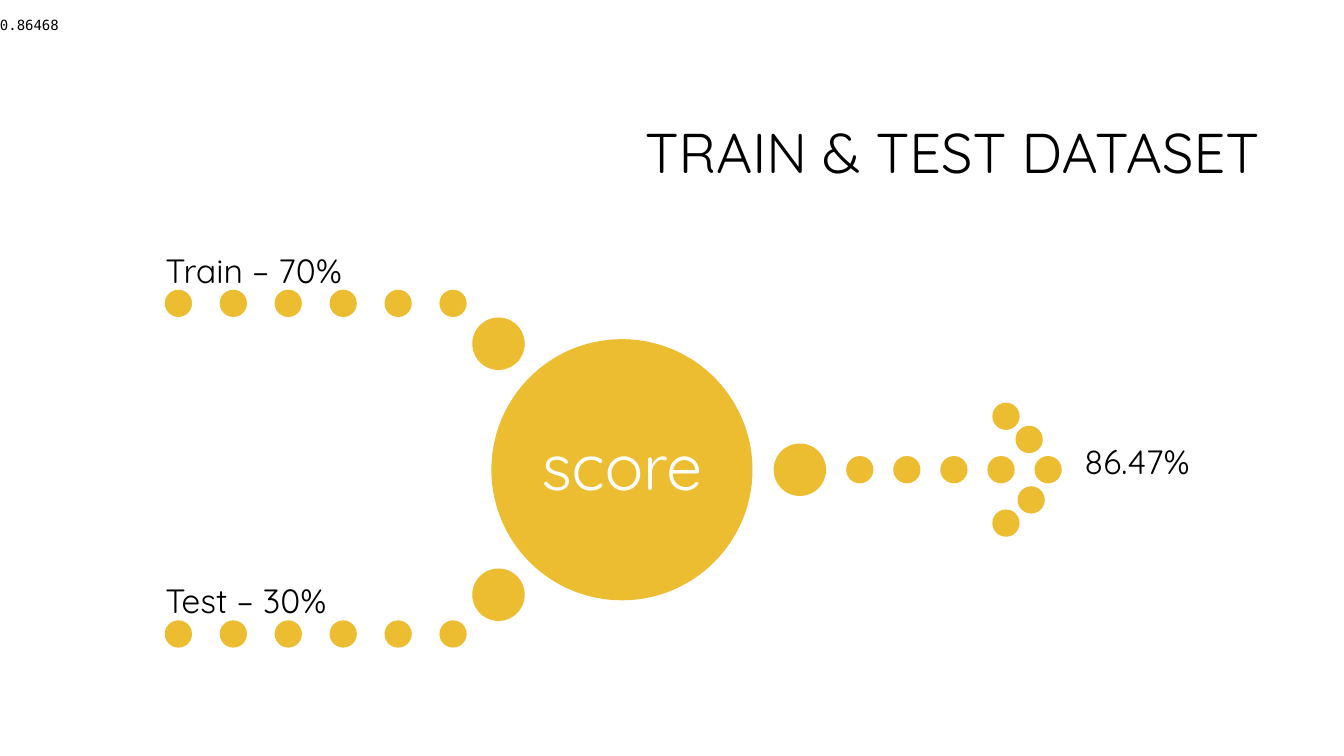
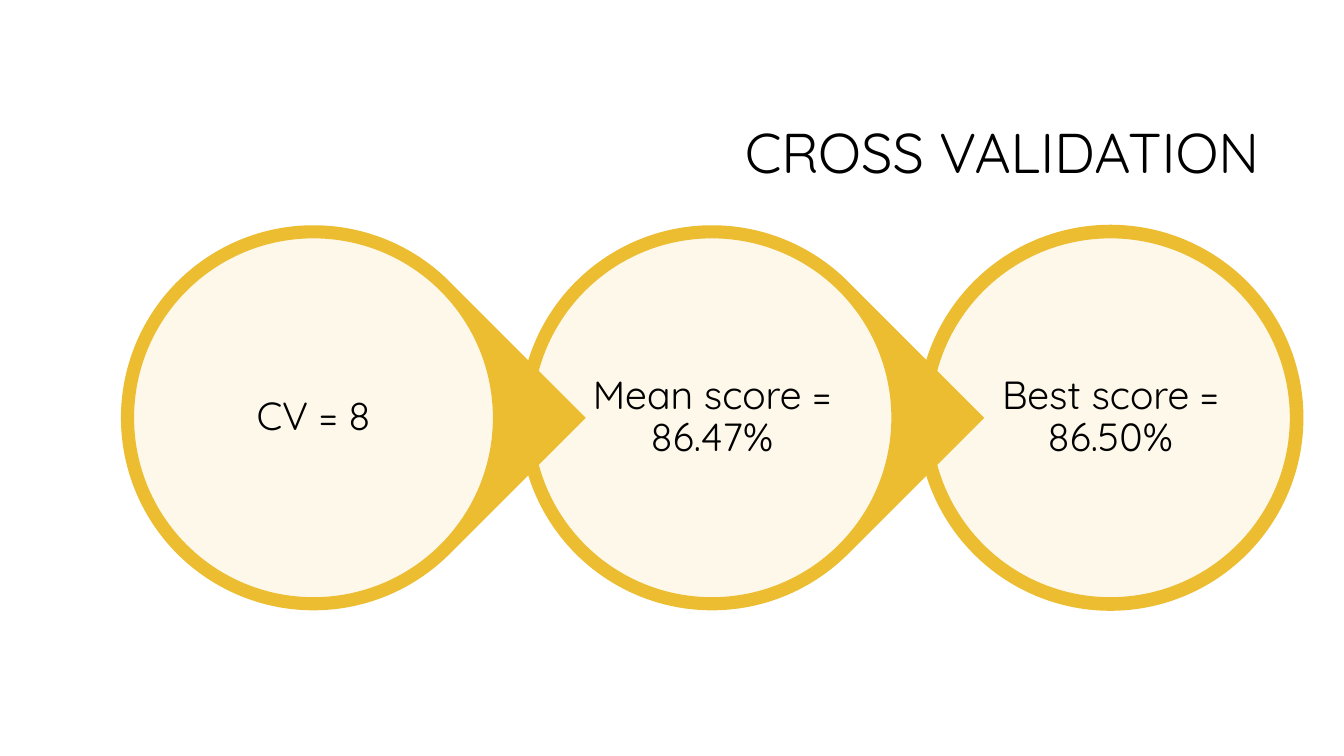
import lxml.etree
import pptx
import pptx.dml.color
import pptx.enum.shapes
import pptx.enum.text
import pptx.oxml.ns
import pptx.util

UNIT = 0.1
COLUMNS, ROWS = 133.33, 75
GOLD, WHITE, BLACK = "ECBD31", "FFFFFF", "000000"
FONT, CODE_FONT = "Quicksand", "DejaVu Sans Mono"
DOT, BIG_DOT = 2.6, 5.1
SHAPES = pptx.enum.shapes.MSO_SHAPE
ALIGN = pptx.enum.text.PP_ALIGN
ANCHOR = pptx.enum.text.MSO_ANCHOR


def grid(count):
    return pptx.util.Inches(count * UNIT)


def color(value):
    return pptx.dml.color.RGBColor.from_string(value)


def add_filled(slide, kind, box, fill, line=None, opacity=None):
    shape = slide.shapes.add_shape(kind, *map(grid, box))
    shape.shadow.inherit = False
    shape.fill.solid()
    shape.fill.fore_color.rgb = color(fill)
    if opacity is not None:
        fill_color = shape.fill._xPr.find(".//" + pptx.oxml.ns.qn("a:srgbClr"))
        alpha = lxml.etree.SubElement(fill_color, pptx.oxml.ns.qn("a:alpha"))
        alpha.set("val", str(opacity * 1000))
    if line:
        shape.line.color.rgb = color(line)
        shape.line.width = pptx.util.Pt(0.75)
    else:
        shape.line.fill.background()
    return shape


def centered_box(x, y, size):
    return x - size / 2, y - size / 2, size, size


def add_circle(slide, x, y, size, fill=GOLD, line=GOLD, opacity=None):
    box = centered_box(x, y, size)
    return add_filled(slide, SHAPES.OVAL, box, fill, line, opacity)


def write(shape, text, size, ink=BLACK, font=FONT, align=ALIGN.LEFT,
          anchor=ANCHOR.MIDDLE, spacing=0.9, margins=(0, 0)):
    frame = shape.text_frame
    frame.word_wrap = True
    frame.vertical_anchor = anchor
    frame.margin_left = frame.margin_right = grid(margins[0])
    frame.margin_top = frame.margin_bottom = grid(margins[1])
    paragraph = frame.paragraphs[0]
    paragraph.text = text
    paragraph.alignment = align
    paragraph.line_spacing = spacing
    paragraph.font.name = font
    paragraph.font.size = pptx.util.Pt(size)
    paragraph.font.color.rgb = color(ink)


def add_text(slide, box, text, size, **style):
    write(slide.shapes.add_textbox(*map(grid, box)), text, size, **style)


def add_slide(presentation, title):
    slide = presentation.slides.add_slide(presentation.slide_layouts[6])
    add_text(slide, (31.7, 8.4, 94.2, 14.1), title, 40,
             align=ALIGN.RIGHT, margins=(1, 0.5))
    return slide


def add_dot_row(slide, left, y, pitch, count):
    for index in range(count):
        add_circle(slide, left + index * pitch, y, DOT)


def add_input(slide, label, y, big_dot_y):
    add_dot_row(slide, 17.7, y, 5.45, 6)
    add_circle(slide, 49.45, big_dot_y, BIG_DOT)
    add_text(slide, (16.4, y - 7.9, 29.9, 6.6), label, 24, anchor=ANCHOR.BOTTOM)


def add_output(slide, label, y):
    add_circle(slide, 79.35, y, BIG_DOT)
    add_dot_row(slide, 85.3, y, 4.67, 5)
    for x, offset in ((99.8, -5.3), (102.1, -3), (102.3, 3), (99.8, 5.3)):
        add_circle(slide, x, y + offset, DOT)
    add_text(slide, (106.6, y - 3.3, 22.6, 5), label, 24,
             anchor=ANCHOR.TOP, spacing=1, margins=(1, 0.5))


def add_train_test_slide(presentation):
    slide = add_slide(presentation, "TRAIN & TEST DATASET")
    middle = 46.6
    add_input(slide, "Train – 70%", 30.1, middle - 12.5)
    add_input(slide, "Test – 30%", 62.9, middle + 12.4)
    add_circle(slide, 61.7, middle, 25.8)
    add_text(slide, centered_box(61.7, middle, 18.3), "score", 46,
             ink=WHITE, align=ALIGN.CENTER, margins=(0.6, 0.6))
    add_output(slide, "86.47%", middle)
    banner = add_filled(slide, SHAPES.RECTANGLE, (0, 0, COLUMNS, 5), WHITE)
    write(banner, "0.86468", 10, font=CODE_FONT, spacing=1)


def add_stage(slide, text, x, y, pointed):
    if pointed:
        drop = add_filled(slide, SHAPES.TEAR, centered_box(x, y, 38.2), GOLD)
        drop.adjustments[0] = 1
        drop.rotation = 45
    else:
        add_circle(slide, x, y, 38.3, line=None)
    add_circle(slide, x, y, 35.7, fill=WHITE, opacity=90)
    add_text(slide, centered_box(x, y, 25.5), text, 28,
             align=ALIGN.CENTER, margins=(0.4, 0.4))


def add_cross_validation_slide(presentation):
    slide = add_slide(presentation, "CROSS VALIDATION")
    stages = ["CV = 8", "Mean score = 86.47%", "Best score = 86.50%"]
    last = len(stages) - 1
    for index in range(last, -1, -1):
        add_stage(slide, stages[index], 31.1 + index * 39.53, 41.45, index < last)


def main():
    presentation = pptx.Presentation()
    presentation.slide_width = grid(COLUMNS)
    presentation.slide_height = grid(ROWS)
    add_train_test_slide(presentation)
    add_cross_validation_slide(presentation)
    presentation.save("out.pptx")


if __name__ == "__main__":
    main()
